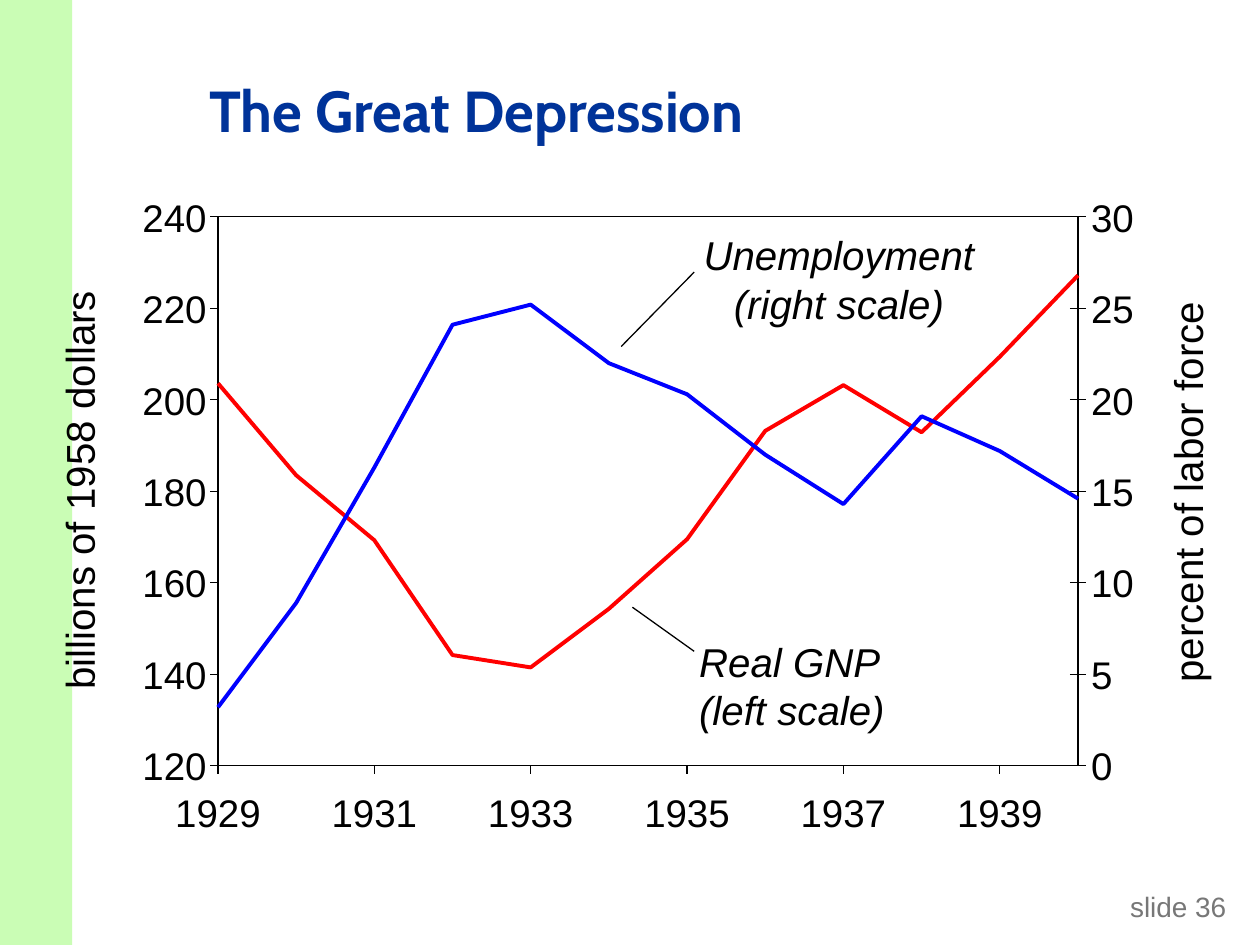
from lxml.etree import SubElement
from pptx import Presentation
from pptx.dml.color import RGBColor
from pptx.enum.shapes import MSO_CONNECTOR as Connector, MSO_SHAPE as Shape
from pptx.enum.text import MSO_ANCHOR as Anchor, MSO_AUTO_SIZE as AutoSize, PP_ALIGN as Align
from pptx.oxml.ns import qn
from pptx.util import Pt

COLORS = {"ink": "000000", "title": "003399", "band": "CAFDB5",
          "footer": "777777", "gnp": "FF0000", "unemployment": "0000FF"}

PLOT_LEFT, PLOT_TOP, PLOT_WIDTH, PLOT_HEIGHT = 124.6, 123.9, 491.4, 313.7
PLOT_RIGHT, PLOT_BOTTOM = PLOT_LEFT + PLOT_WIDTH, PLOT_TOP + PLOT_HEIGHT
FIRST_YEAR, LAST_YEAR = 1929, 1940
GNP_SCALE, UNEMPLOYMENT_SCALE = (120, 240), (0, 30)

REAL_GNP = [203.6, 183.5, 169.3, 144.2, 141.5, 154.3,
            169.5, 193.2, 203.2, 192.9, 209.4, 227.2]
UNEMPLOYMENT = [3.2, 8.9, 16.3, 24.1, 25.2, 22.0,
                20.3, 17.0, 14.3, 19.1, 17.2, 14.6]

TICK_SIZE, DIGIT_WIDTH, LABEL_HEIGHT = 22, 12.24, 26.6
NOTE = {"size": 23, "italic": True}
NOTE_PARAGRAPH = {"space_before": Pt(14.4)}


def year_x(year):
    return PLOT_LEFT + PLOT_WIDTH * (year - FIRST_YEAR) / (LAST_YEAR - FIRST_YEAR)


def value_y(value, scale):
    low, high = scale
    return PLOT_BOTTOM - PLOT_HEIGHT * (value - low) / (high - low)


def set_all(target, values):
    for name, value in values.items():
        setattr(target, name, value)


class SlidePainter:
    """Holds the text style and the slide being drawn; lengths are in points."""

    font = {"name": "Arial", "size": TICK_SIZE, "bold": False, "italic": False}

    def __init__(self, slide):
        self.slide = slide
        self.shapes = slide.shapes

    def outline(self, shape, color, width=0.75):
        shape.line.color.rgb = RGBColor.from_string(COLORS[color])
        shape.line.width = Pt(width)

    def rectangle(self, left, top, width, height, fill=None, line=None):
        box = self.shapes.add_shape(Shape.RECTANGLE, Pt(left), Pt(top), Pt(width), Pt(height))
        box.shadow.inherit = False
        if fill:
            box.fill.solid()
            box.fill.fore_color.rgb = RGBColor.from_string(COLORS[fill])
        else:
            box.fill.background()
        if line:
            self.outline(box, line)
        else:
            box.line.fill.background()

    def line(self, x1, y1, x2, y2):
        rule = self.shapes.add_connector(Connector.STRAIGHT, Pt(x1), Pt(y1), Pt(x2), Pt(y2))
        self.outline(rule, "ink")
        SubElement(rule._element.spPr, qn("a:effectLst"))

    def curve(self, values, scale, color):
        points = [(Pt(year_x(year)), Pt(value_y(value, scale)))
                  for year, value in enumerate(values, FIRST_YEAR)]
        builder = self.shapes.build_freeform(*points[0])
        builder.add_line_segments(points[1:], close=False)
        curve = builder.convert_to_shape()
        curve.shadow.inherit = False
        curve.fill.background()
        self.outline(curve, color, 2.25)

    def text(self, words, left, top, width, height, color="ink", font=None,
             frame=None, paragraph=None, margins=(0, 0), rotation=0):
        box = self.shapes.add_textbox(Pt(left), Pt(top), Pt(width), Pt(height))
        box.rotation = rotation
        across, down = (Pt(margin) for margin in margins)
        set_all(box.text_frame, {
            "margin_left": across, "margin_right": across,
            "margin_top": down, "margin_bottom": down,
            "word_wrap": True, "auto_size": AutoSize.NONE, **(frame or {})})
        line = box.text_frame.paragraphs[0]
        line.text = words
        set_all(line, paragraph or {})
        style = {**self.font, **(font or {})}
        style["size"] = Pt(style["size"])
        for run in line.runs:
            set_all(run.font, style)
            run.font.color.rgb = RGBColor.from_string(COLORS[color])

    def label(self, words, left, top, width, height=LABEL_HEIGHT, **options):
        """Add text on one line that never wraps."""
        self.text(words, left, top, width, height, frame={"word_wrap": False}, **options)

    def tick_label(self, number, left, top):
        words = str(number)
        self.label(words, left, top, DIGIT_WIDTH * len(words))

    def value_axis(self, scale, step, tick_span, label_left):
        for value in range(scale[0], scale[1] + 1, step):
            y = value_y(value, scale)
            self.line(tick_span[0], y, tick_span[1], y)
            self.tick_label(value, label_left, y - LABEL_HEIGHT / 2)

    def year_axis(self):
        for year in range(FIRST_YEAR, LAST_YEAR, 2):
            x = year_x(year)
            self.line(x, PLOT_BOTTOM + 4.5, x, PLOT_BOTTOM)
            self.tick_label(year, x - 2 * DIGIT_WIDTH, 450.7)

    def axis_title(self, words, center_x, center_y, width):
        height = 27.4
        self.label(words, center_x - width / 2, center_y - height / 2, width, height,
                   font={"size": 23}, rotation=270)


def main():
    deck = Presentation()
    deck.slide_width, deck.slide_height = Pt(720), Pt(540)
    painter = SlidePainter(deck.slides.add_slide(deck.slide_layouts[6]))

    painter.rectangle(0, 0, 41.2, 540, fill="band")
    painter.text("slide 36", 645.8, 508.3, 67.7, 23, color="footer", font={"size": 16})
    painter.rectangle(PLOT_LEFT, PLOT_TOP, PLOT_WIDTH, PLOT_HEIGHT, line="ink")
    painter.text("The Great Depression", 119.5, 18.7, 566.6, 85.7, color="title",
                 font={"name": "Cabin", "size": 33, "bold": True},
                 frame={"vertical_anchor": Anchor.MIDDLE},
                 paragraph={"line_spacing": 1.05})

    painter.line(355, 198, 396.7, 155.5)
    painter.text("Unemployment (right scale)", 389.5, 128.2, 180, 62.6, font=NOTE,
                 paragraph={"alignment": Align.CENTER, **NOTE_PARAGRAPH}, margins=(7.2, 3.6))
    painter.line(396.7, 372.2, 361.4, 347)
    painter.text("Real GNP\n(left scale)", 392.4, 360.7, 126, 62.6, font=NOTE,
                 paragraph=NOTE_PARAGRAPH, margins=(7.2, 3.6))

    painter.value_axis(GNP_SCALE, 20, (PLOT_LEFT - 4.5, PLOT_LEFT), 81.4)
    painter.year_axis()
    painter.curve(REAL_GNP, GNP_SCALE, "gnp")
    painter.value_axis(UNEMPLOYMENT_SCALE, 5, (PLOT_RIGHT - 4.6, PLOT_RIGHT + 4.6), 623.5)
    painter.curve(UNEMPLOYMENT, UNEMPLOYMENT_SCALE, "unemployment")
    painter.axis_title("billions of 1958 dollars", 45, 280.1, 228.2)
    painter.axis_title("percent of labor force", 678.2, 281.5, 217.4)

    deck.save("out.pptx")


if __name__ == "__main__":
    main()
